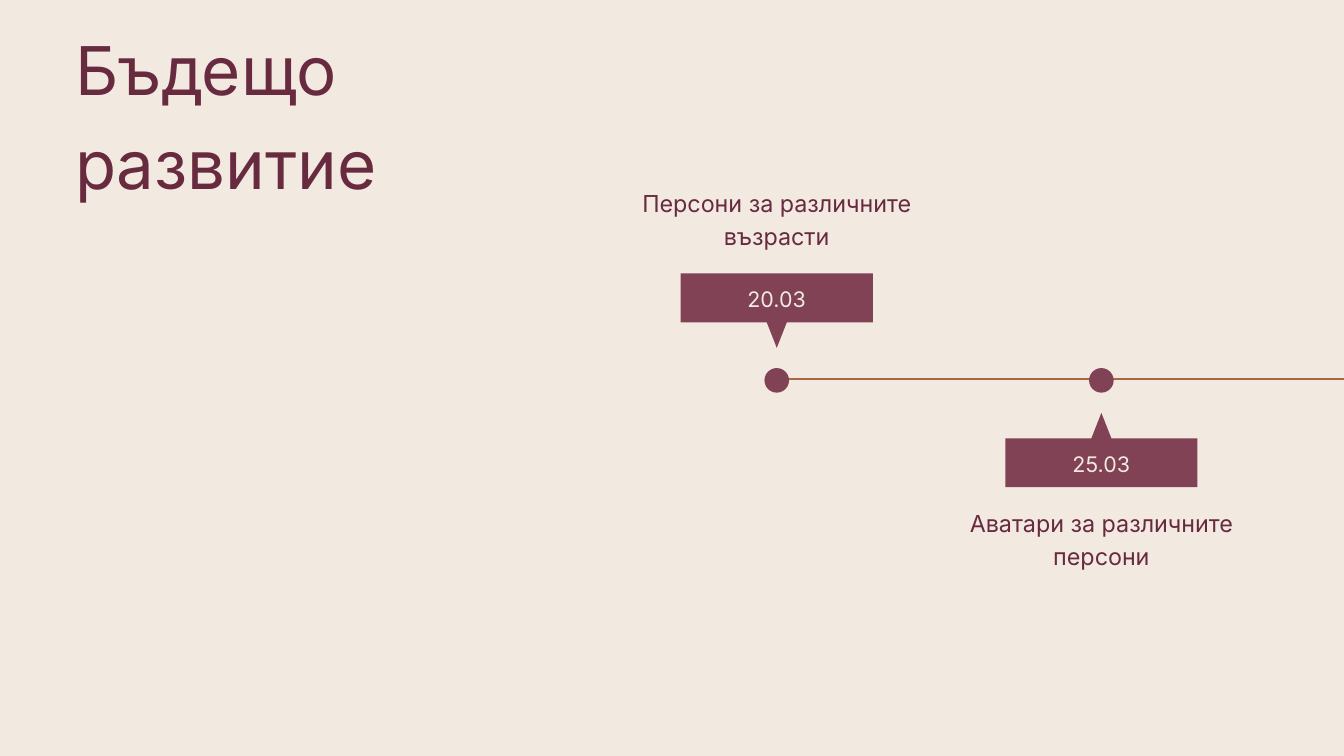
from lxml import etree
from pptx import Presentation
from pptx import util as u
from pptx.dml import color
from pptx.enum import shapes, text
from pptx.oxml import ns

BACKGROUND, PLUM, WINE, COPPER = "F2E9E1", "814256", "672A3F", "A66940"
FONT = "Inter"
AXIS_Y = 14.38
MILESTONE_XS = (29.36, 41.63)
DOT = 0.93
POINTER_WIDTH, POINTER_HEIGHT, POINTER_GAP = 1.85, 2.35, 1.23
DATE_WIDTH, DATE_HEIGHT, DATE_GAP = 7.26, 1.85, 2.19
TEXT_WIDTH = 10.44


def rgb(value):
    """Turn a hex string into a colour."""
    return color.RGBColor.from_string(value)


def write_text(shape, content, size, spacing, hex_color, align):
    """Fill a shape with one formatted paragraph."""
    frame = shape.text_frame
    frame.word_wrap = True
    frame.auto_size = text.MSO_AUTO_SIZE.NONE
    frame.vertical_anchor = text.MSO_ANCHOR.TOP
    frame.margin_left = frame.margin_right = 0
    frame.margin_top = frame.margin_bottom = 0
    paragraph = frame.paragraphs[0]
    paragraph.alignment = align
    paragraph.line_spacing = u.Pt(spacing)
    paragraph.space_before = u.Pt(0)
    run = paragraph.add_run()
    run.text = content
    run.font.name = FONT
    run.font.size = u.Pt(size)
    run.font.color.rgb = rgb(hex_color)


def add_title(slide, content):
    """Place and fill the title placeholder."""
    title = slide.shapes.title
    title.left, title.top = u.Cm(2.84), u.Cm(0.56)
    title.width, title.height = u.Cm(19.18), u.Cm(6.96)
    write_text(title, content, 72, 100.8, WINE, text.PP_ALIGN.LEFT)


def add_label(slide, center_x, top, height, content, size, spacing, hex_color):
    """Add a centred text box around a milestone's axis."""
    box = slide.shapes.add_textbox(
        u.Cm(center_x - TEXT_WIDTH / 2), u.Cm(top), u.Cm(TEXT_WIDTH), u.Cm(height))
    write_text(box, content, size, spacing, hex_color, text.PP_ALIGN.CENTER)


def add_block(slide, kind, center_x, top, width, height):
    """Add a plain plum shape centred on a milestone's axis."""
    shape = slide.shapes.add_shape(
        kind, u.Cm(center_x - width / 2), u.Cm(top), u.Cm(width), u.Cm(height))
    shape.shadow.inherit = False
    shape.fill.solid()
    shape.fill.fore_color.rgb = rgb(PLUM)
    shape.line.fill.background()
    return shape


def add_axis(slide):
    """Draw the timeline, running past the right edge."""
    axis = slide.shapes.add_connector(
        shapes.MSO_CONNECTOR.STRAIGHT,
        u.Cm(MILESTONE_XS[0]), u.Cm(14.33), u.Cm(52.43), u.Cm(14.33))
    axis.line.color.rgb = rgb(COPPER)
    axis.line.width = u.Pt(1.5)
    etree.SubElement(axis._element.spPr, ns.qn("a:effectLst"))


def add_milestone(slide, center_x, above, date, label, label_top):
    """Add a dot, pointer, date and label above or below the axis."""
    kinds = shapes.MSO_SHAPE

    def top_of(gap, height):
        return AXIS_Y - gap - height if above else AXIS_Y + gap

    pointer = add_block(slide, kinds.ISOSCELES_TRIANGLE, center_x,
                        top_of(POINTER_GAP, POINTER_HEIGHT), POINTER_WIDTH, POINTER_HEIGHT)
    pointer.rotation = 180 if above else 0
    date_top = top_of(DATE_GAP, DATE_HEIGHT)
    add_block(slide, kinds.RECTANGLE, center_x, date_top, DATE_WIDTH, DATE_HEIGHT)
    add_block(slide, kinds.OVAL, center_x, AXIS_Y - DOT / 2, DOT, DOT)
    add_label(slide, center_x, date_top + 0.32, 1.09, date, 23, 32.2, BACKGROUND)
    add_label(slide, center_x, label_top, 2.36, label, 25, 35, WINE)


def main():
    """Build the timeline slide."""
    presentation = Presentation()
    presentation.slide_width, presentation.slide_height = u.Cm(50.8), u.Cm(28.58)
    slide = presentation.slides.add_slide(presentation.slide_layouts[5])
    slide.background.fill.solid()
    slide.background.fill.fore_color.rgb = rgb(BACKGROUND)
    add_axis(slide)
    add_title(slide, "Бъдещо развитие")
    add_milestone(slide, MILESTONE_XS[0], True, "20.03",
                  "Персони за различните възрасти", 6.98)
    add_milestone(slide, MILESTONE_XS[1], False, "25.03",
                  "Аватари за различните персони", 19.08)
    presentation.save("out.pptx")


if __name__ == "__main__":
    main()
